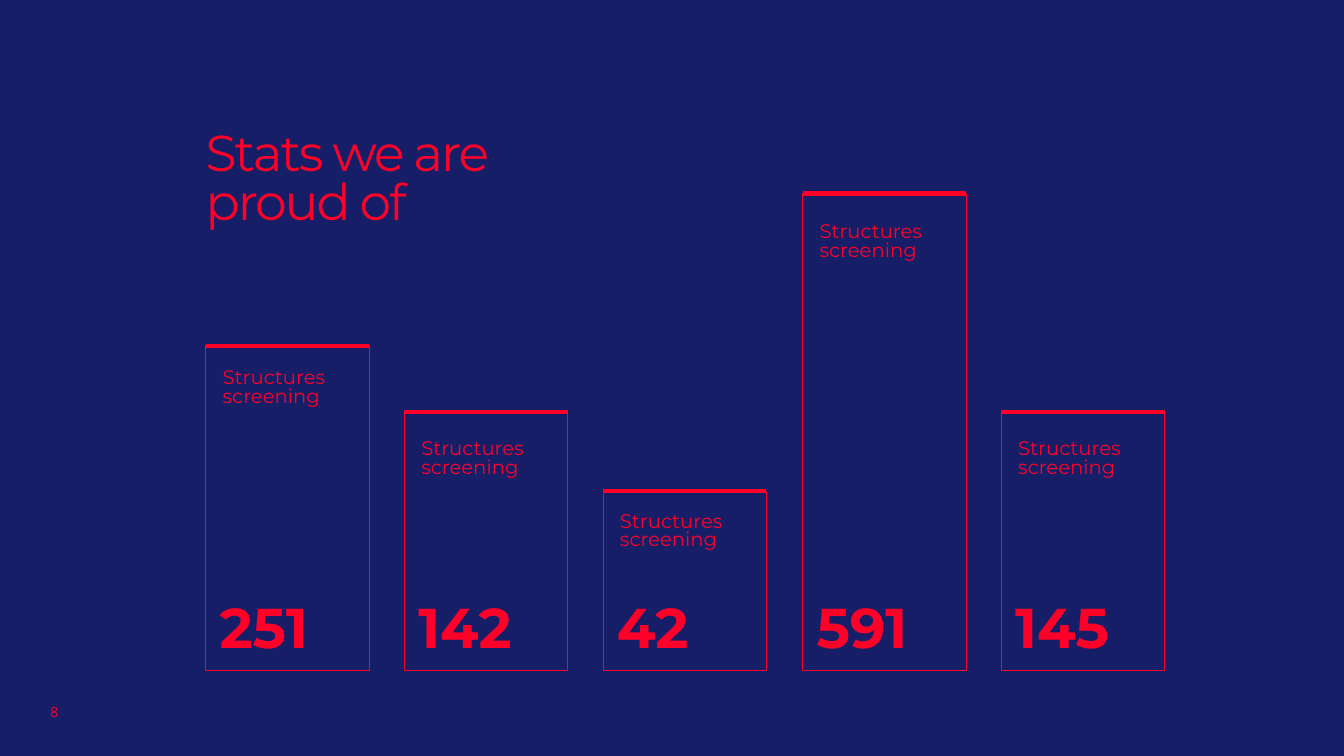
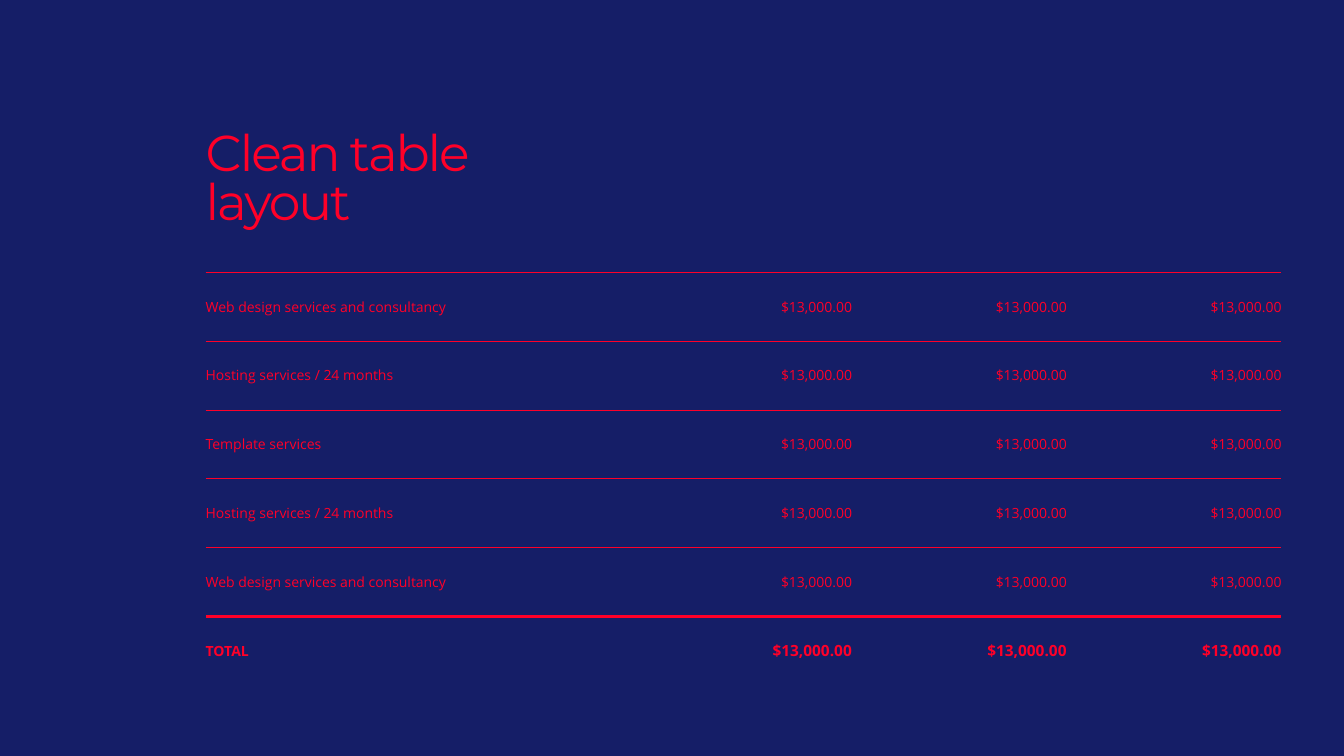
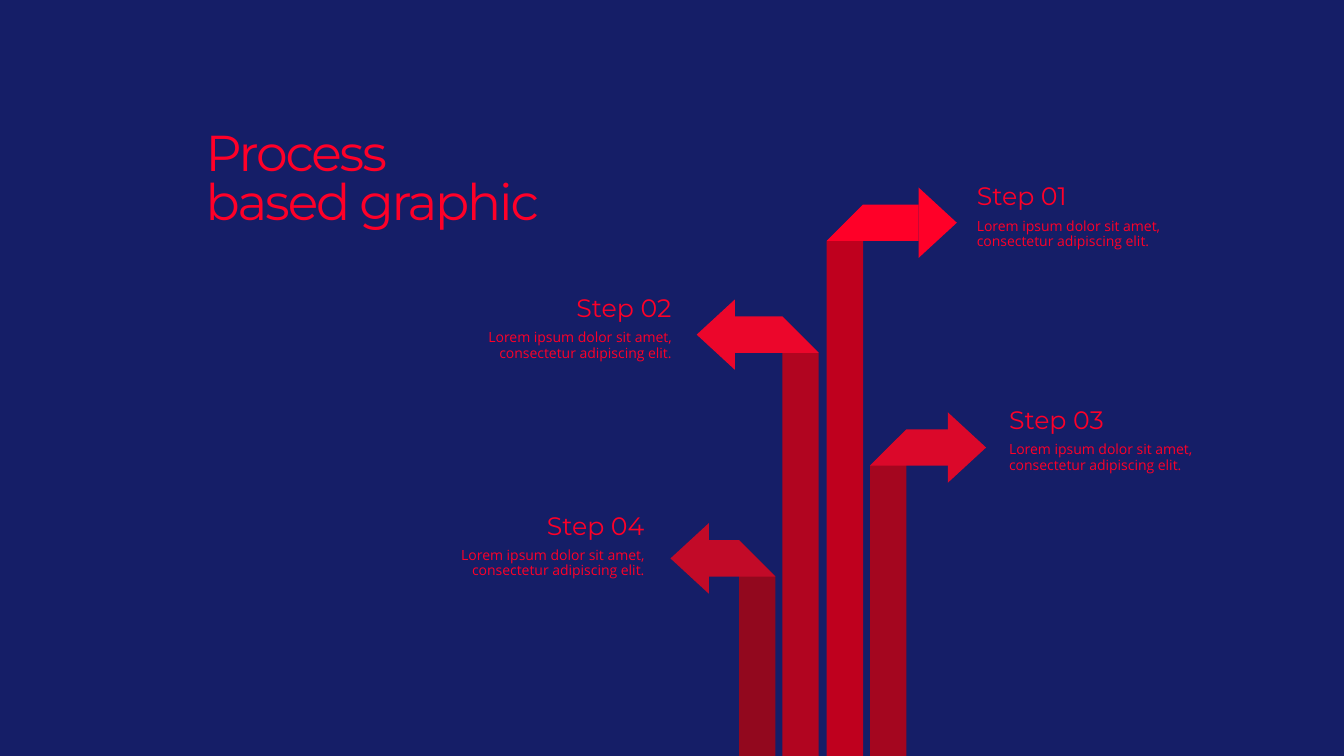
"""Build three dark slides: a bar of stats, a clean table and a process graphic."""
from dataclasses import dataclass

from lxml import etree
from pptx import Presentation
from pptx.dml.color import RGBColor
from pptx.enum.shapes import MSO_CONNECTOR, MSO_SHAPE
from pptx.enum.text import MSO_ANCHOR, MSO_AUTO_SIZE, PP_ALIGN
from pptx.oxml.ns import qn
from pptx.util import Emu, Pt

EMU_PER_PX = 9144
SLIDE_WIDTH, SLIDE_HEIGHT = 1333, 750
MARGIN = 204

RED = RGBColor(0xFF, 0x00, 0x28)
NAVY = RGBColor(0x15, 0x1E, 0x67)
HEADING_FONT, BODY_FONT = "Montserrat", "Open Sans"

LEFT, CENTER, RIGHT = PP_ALIGN.LEFT, PP_ALIGN.CENTER, PP_ALIGN.RIGHT
MIDDLE = MSO_ANCHOR.MIDDLE
GROW = MSO_AUTO_SIZE.SHAPE_TO_FIT_TEXT
RECTANGLE = MSO_SHAPE.RECTANGLE
STRAIGHT = MSO_CONNECTOR.STRAIGHT
NO_TABLE_STYLE = "{2D5ABB26-0587-4C30-8999-92F81FD0307C}"

BAR_WIDTH, BAR_BOTTOM = 162, 665
LAST_BAR_LEFT = 993
COLUMN_WIDTHS = (427, 214, 213, 213)
TABLE_TOP, TABLE_HEIGHT = 270, 410
THIN, THICK = 0.5, 2.25
BAND = 36
HEAD_LENGTH, HEAD_OVERHANG = 38, 17


@dataclass(frozen=True)
class Style:
    size: float
    font: str = BODY_FONT
    bold: bool = False
    align: PP_ALIGN = LEFT
    line_spacing: float = 1.0
    space_before: float = 0


@dataclass(frozen=True)
class Stat:
    value: str
    top: int
    label_top: int


@dataclass(frozen=True)
class Step:
    title: str
    direction: int
    fold: int
    top: int
    shaft_end: int
    tip: int
    text_left: int
    text_top: int
    trunk: RGBColor
    arrow: RGBColor


TITLE = Style(36, HEADING_FONT, line_spacing=0.8)
STAT_LABEL = Style(14, HEADING_FONT, line_spacing=0.8)
STAT_VALUE = Style(40, HEADING_FONT, bold=True, line_spacing=0.8)
PAGE_NUMBER = Style(10, align=CENTER)

STATS = (
    Stat("251", 343, 362),
    Stat("142", 409, 432),
    Stat("42", 487, 504),
    Stat("591", 192, 217),
    Stat("145", 409, 432),
)

SERVICES = (
    "Web design services and consultancy",
    "Hosting services / 24 months",
    "Template services",
    "Hosting services / 24 months",
    "Web design services and consultancy",
    "TOTAL",
)
PRICE = "$13,000.00"

STEP_TEXT = "Lorem ipsum dolor sit amet, consectetur adipiscing elit."
STEPS = (
    Step("Step 01", 1, 820, 203, 911, 949, 959, 174,
         RGBColor(0xBF, 0x00, 0x1E), RED),
    Step("Step 02", -1, 812, 314, 725, 691, 403, 285,
         RGBColor(0xB1, 0x05, 0x20), RGBColor(0xEC, 0x06, 0x2B)),
    Step("Step 03", 1, 863, 426, 944, 978, 991, 396,
         RGBColor(0xA4, 0x06, 0x1F), RGBColor(0xDB, 0x08, 0x2A)),
    Step("Step 04", -1, 769, 536, 699, 665, 376, 501,
         RGBColor(0x92, 0x08, 0x1E), RGBColor(0xC2, 0x0A, 0x28)),
)


def px(length: int) -> Emu:
    return Emu(length * EMU_PER_PX)


def write(paragraph, text: str, style: Style) -> None:
    paragraph.text = text
    paragraph.alignment = style.align
    paragraph.line_spacing = style.line_spacing
    paragraph.space_before = Pt(style.space_before)
    font = paragraph.font
    font.size, font.name, font.bold = Pt(style.size), style.font, style.bold
    font.color.rgb = RED


def add_text(slide, left: int, top: int, width: int, height: int,
             *lines: tuple[str, Style]):
    frame = slide.shapes.add_textbox(px(left), px(top), px(width), px(height)).text_frame
    frame.word_wrap = True
    for index, (text, style) in enumerate(lines):
        paragraph = frame.add_paragraph() if index else frame.paragraphs[0]
        write(paragraph, text, style)
    return frame


def add_slide(prs, title: str):
    slide = prs.slides.add_slide(prs.slide_layouts[6])
    frame = add_text(slide, MARGIN, 111, 462, 177, (title, TITLE))
    frame.margin_left = frame.margin_right = frame.margin_bottom = 0
    frame.margin_top = px(21)
    for run in frame.paragraphs[0].runs:
        run._r.get_or_add_rPr().set("spc", "-150")
    return slide


def add_stat(slide, left: int, stat: Stat) -> None:
    bar = slide.shapes.add_shape(RECTANGLE, px(left), px(stat.top), px(BAR_WIDTH),
                                 px(BAR_BOTTOM - stat.top))
    bar.shadow.inherit = False
    bar.fill.background()
    bar.line.color.rgb = RED
    bar.line.width = Pt(0.5)
    cap = slide.shapes.add_connector(STRAIGHT, px(left), px(stat.top),
                                     px(left + BAR_WIDTH), px(stat.top))
    cap.line.color.rgb = RED
    cap.line.width = Pt(3)
    etree.SubElement(cap._element.spPr, qn("a:effectLst"))
    add_text(slide, left + 7, stat.label_top, 155, 93,
             ("Structures", STAT_LABEL), ("screening", STAT_LABEL))
    add_text(slide, left + 4, 596, 159, 56, (stat.value, STAT_VALUE))


def set_borders(cell, top: float, bottom: float) -> None:
    properties = cell._tc.get_or_add_tcPr()
    widths = {"a:lnL": 0, "a:lnR": 0, "a:lnT": top, "a:lnB": bottom}
    for index, (tag, width) in enumerate(widths.items()):
        border = etree.Element(qn(tag), w=str(Pt(width)))
        if width:
            fill = etree.SubElement(border, qn("a:solidFill"))
            etree.SubElement(fill, qn("a:srgbClr"), val=str(RED))
        else:
            etree.SubElement(border, qn("a:noFill"))
        properties.insert(index, border)


def add_price_table(slide) -> None:
    rows, columns = len(SERVICES), len(COLUMN_WIDTHS)
    frame = slide.shapes.add_table(rows, columns, px(MARGIN), px(TABLE_TOP),
                                   px(sum(COLUMN_WIDTHS)), px(TABLE_HEIGHT))
    table = frame.table
    table.first_row = table.horz_banding = False
    table._tbl.tblPr.find(qn("a:tableStyleId")).text = NO_TABLE_STYLE
    for column, width in zip(table.columns, COLUMN_WIDTHS):
        column.width = px(width)
    total = rows - 1
    for row, service in enumerate(SERVICES):
        table.rows[row].height = Emu(px(TABLE_HEIGHT) // rows)
        is_total = row == total
        top = THICK if is_total else THIN
        bottom = 0 if is_total else THICK if row == total - 1 else THIN
        for column in range(columns):
            cell = table.cell(row, column)
            cell.fill.background()
            cell.vertical_anchor = MIDDLE
            cell.margin_left = px(10 if column else 0)
            cell.margin_right = px(0 if column else 10)
            style = Style(11 if is_total and column else 10, bold=is_total,
                          align=RIGHT if column else LEFT)
            write(cell.text_frame.paragraphs[0], PRICE if column else service, style)
            set_borders(cell, top, bottom)


def add_polygon(slide, color: RGBColor, points: list[tuple[int, int]]) -> None:
    builder = slide.shapes.build_freeform(*points[0], scale=EMU_PER_PX)
    builder.add_line_segments(points[1:], close=True)
    polygon = builder.convert_to_shape()
    polygon.shadow.inherit = False
    polygon.fill.solid()
    polygon.fill.fore_color.rgb = color
    polygon.line.fill.background()


def add_step(slide, step: Step) -> None:
    inner = step.fold + BAND * step.direction
    neck = step.tip - HEAD_LENGTH * step.direction
    bend = step.top + BAND
    add_polygon(slide, step.trunk, [
        (inner, step.top), (inner, SLIDE_HEIGHT), (step.fold, SLIDE_HEIGHT),
        (step.fold, bend),
    ])
    add_polygon(slide, step.arrow, [
        (step.fold, bend), (inner, step.top), (step.shaft_end, step.top),
        (step.shaft_end, bend),
    ])
    add_polygon(slide, step.arrow, [
        (neck, step.top - HEAD_OVERHANG), (step.tip, step.top + BAND // 2),
        (neck, bend + HEAD_OVERHANG),
    ])
    align = LEFT if step.direction > 0 else RIGHT
    heading = Style(18, HEADING_FONT, align=align, space_before=6)
    body = Style(10, align=align, line_spacing=0.9, space_before=6)
    frame = add_text(slide, step.text_left, step.text_top, 273, 79,
                     (step.title, heading), (STEP_TEXT, body))
    frame.auto_size = GROW


def main() -> None:
    prs = Presentation()
    prs.slide_width, prs.slide_height = px(SLIDE_WIDTH), px(SLIDE_HEIGHT)
    backdrop = prs.slide_master.background.fill
    backdrop.solid()
    backdrop.fore_color.rgb = NAVY

    stats_slide = add_slide(prs, "Stats we are\vproud of")
    add_text(stats_slide, 26, 693, 56, 25, ("8", PAGE_NUMBER))
    pitch = (LAST_BAR_LEFT - MARGIN) / (len(STATS) - 1)
    for index, stat in enumerate(STATS):
        add_stat(stats_slide, MARGIN + round(index * pitch), stat)

    add_price_table(add_slide(prs, "Clean table\vlayout"))

    process_slide = add_slide(prs, "Process\vbased graphic")
    for step in STEPS:
        add_step(process_slide, step)

    prs.save("out.pptx")


if __name__ == "__main__":
    main()
